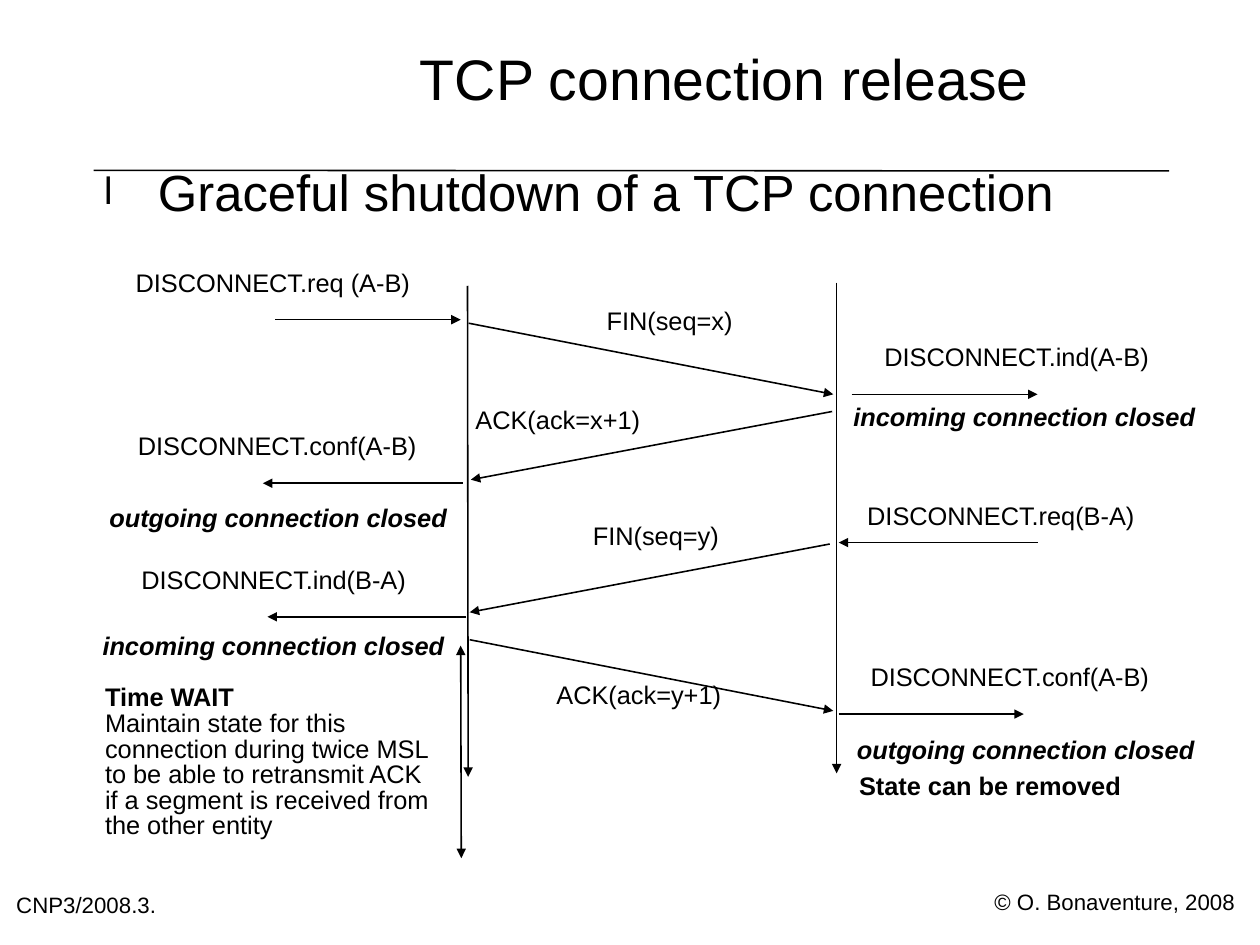
import pptx
import pptx.dml.color
import pptx.enum.shapes
import pptx.enum.text
import pptx.oxml
import pptx.oxml.ns
import pptx.util

Pt = pptx.util.Pt
BLACK = pptx.dml.color.RGBColor(0, 0, 0)
WHITE = pptx.dml.color.RGBColor(255, 255, 255)
FONT = "Arial"
SLIDE_WIDTH, SLIDE_HEIGHT = 793.7, 595.28
LABEL_SLACK = 2

PLAIN = (False, False, 0.84)
STRONG = (True, False, 0.84)
STATUS = (True, True, 0.97)


def add_property(parent, tag, **attributes):
    element = pptx.oxml.parse_xml(f"<a:{tag} {pptx.oxml.ns.nsdecls('a')}/>")
    for name, value in attributes.items():
        element.set(name, value)
    parent.append(element)
    return element


def write_line(paragraph, wording, size, style=PLAIN):
    bold, italic, spacing = style
    paragraph.line_spacing = spacing
    run = paragraph.add_run()
    run.text = wording
    run.font.name = FONT
    run.font.size = Pt(size)
    run.font.bold = bold
    run.font.italic = italic
    run.font.color.rgb = BLACK


def add_frame(slide, left, top, width, height, wrap=True):
    frame = slide.shapes.add_textbox(Pt(left), Pt(top), Pt(width), Pt(height)).text_frame
    frame.margin_left = frame.margin_right = frame.margin_top = frame.margin_bottom = 0
    frame.word_wrap = wrap
    return frame


def add_label(slide, left, top, width, wording, style=PLAIN, size=16):
    frame = add_frame(slide, left, top, width + LABEL_SLACK, size * style[2] * 1.18, wrap=False)
    frame.auto_size = pptx.enum.text.MSO_AUTO_SIZE.SHAPE_TO_FIT_TEXT
    write_line(frame.paragraphs[0], wording, size, style)


def add_line(slide, start, end, *arrowheads):
    line = slide.shapes.add_connector(
        pptx.enum.shapes.MSO_CONNECTOR.STRAIGHT, *(Pt(value) for value in (*start, *end)))
    line.line.color.rgb = BLACK
    line.line.width = Pt(1)
    outline = line.line._get_or_add_ln()
    for arrowhead in arrowheads:
        add_property(outline, arrowhead, type="triangle")
    add_property(line._element.spPr, "effectLst")


def add_header(slide, left, top, width):
    rule_top = top + 107.3
    add_line(slide, (left, rule_top), (left + width, rule_top + 0.4))

    title = add_frame(slide, left + 110.8, top, 573, 105)
    title.vertical_anchor = pptx.enum.text.MSO_ANCHOR.MIDDLE
    title.paragraphs[0].alignment = pptx.enum.text.PP_ALIGN.CENTER
    write_line(title.paragraphs[0], "TCP connection release", 36)

    topic = add_frame(slide, left + 0.8, rule_top, width, SLIDE_HEIGHT - rule_top).paragraphs[0]
    write_line(topic, "Graceful shutdown of a TCP connection", 32)
    properties = topic._p.get_or_add_pPr()
    properties.set("marL", str(Pt(39.6)))
    properties.set("indent", str(Pt(-33.84)))
    bullet_color = add_property(properties, "buClr")
    add_property(bullet_color, "srgbClr", val=str(BLACK))
    add_property(properties, "buSzPct", val="75000")
    add_property(properties, "buFont", typeface=FONT)
    add_property(properties, "buChar", char="l")


def add_exchange(slide, left, top, width):
    add_line(slide, (left, top + 2), (left + 0.4, top + 311.4), "tailEnd")
    add_line(slide, (left + width, top), (left + width, top + 309.2), "tailEnd")
    messages = [
        ("FIN(seq=x)", 87.6, 17.6, 79.2, (0.7, 25.6), (230.4, 70.4)),
        ("ACK(ack=x+1)", 5, 79.6, 103.7, (229.7, 81.2), (2.1, 124.2)),
        ("FIN(seq=y)", 79, 153, 79.2, (228.2, 164.7), (1.4, 207.7)),
        ("ACK(ack=y+1)", 56, 252.6, 103.7, (1.4, 225), (230.4, 269.8)),
    ]
    for wording, x, y, label_width, start, end in messages:
        add_line(slide, (left + start[0], top + start[1]),
                 (left + end[0], top + end[1]), "tailEnd")
        add_label(slide, left + x, top + y, label_width, wording)


def add_host(slide, left, top, primitives, states):
    for wording, x, y, width, start, end, arrow_y in primitives:
        add_label(slide, left + x, top + y, width, wording)
        add_line(slide, (left + start, top + arrow_y), (left + end, top + arrow_y), "tailEnd")
    for wording, x, y, width, style in states:
        add_label(slide, left + x, top + y, width, wording, style)


def add_time_wait(slide, left, top):
    add_line(slide, (left + 224, top - 25.7), (left + 224.4, top + 108.2), "headEnd", "tailEnd")
    note = add_frame(slide, left, top, 208.8, 96.5)
    heading = note.paragraphs[0]
    write_line(heading, "Time WAIT", 16, STRONG)
    explanation = note.add_paragraph()
    write_line(explanation, "Maintain state for this ", 16)
    explanation.add_line_break()
    write_line(explanation, "connection during twice MSL", 16)
    for wording in ("to be able to retransmit ACK", "if a segment is received from",
                    "the other entity"):
        write_line(note.add_paragraph(), wording, 16)


def add_footer(slide, left, top):
    add_label(slide, left + 616.2, top, 152, "© O. Bonaventure, 2008", size=14)
    course = add_frame(slide, left, top + 2.4, 121, 17.3)
    write_line(course.paragraphs[0], "CNP3/2008.3.", 14)


def main():
    deck = pptx.Presentation()
    deck.slide_width = Pt(SLIDE_WIDTH)
    deck.slide_height = Pt(SLIDE_HEIGHT)
    slide = deck.slides.add_slide(deck.slide_layouts[6])
    slide.background.fill.solid()
    slide.background.fill.fore_color.rgb = WHITE

    add_header(slide, 59, 0, 677.5)
    add_exchange(slide, 294.5, 178, 232.5)
    add_host(
        slide, 64.6, 171.2,
        [("DISCONNECT.req (A-B)", 20.9, 0, 175, 108.9, 225.6, 30.2),
         ("DISCONNECT.conf(A-B)", 22.3, 102.9, 177.1, 227, 101, 133.2),
         ("DISCONNECT.ind(B-A)", 24.5, 187.2, 168.5, 229.2, 103.9, 217.4)],
        [("outgoing connection closed", 4.3, 146.1, 213, STATUS),
         ("incoming connection closed", 0, 226.6, 215.3, STATUS)])
    add_host(
        slide, 526.8, 218,
        [("DISCONNECT.ind(A-B)", 30.3, 0, 168.5, 9.6, 126.8, 30.4),
         ("DISCONNECT.req(B-A)", 19.5, 99.9, 170.6, 127, 1.5, 123.8),
         ("DISCONNECT.conf(A-B)", 21.6, 201.6, 177.1, 1.5, 118.1, 231.8)],
        [("incoming connection closed", 10.8, 35.8, 215.3, STATUS),
         ("outgoing connection closed", 13, 245.5, 213, STATUS),
         ("State can be removed", 14.4, 270, 164.9, STRONG)])
    add_time_wait(slide, 66.2, 432.4)
    add_footer(slide, 10.2, 562)
    deck.save("out.pptx")


if __name__ == "__main__":
    main()
